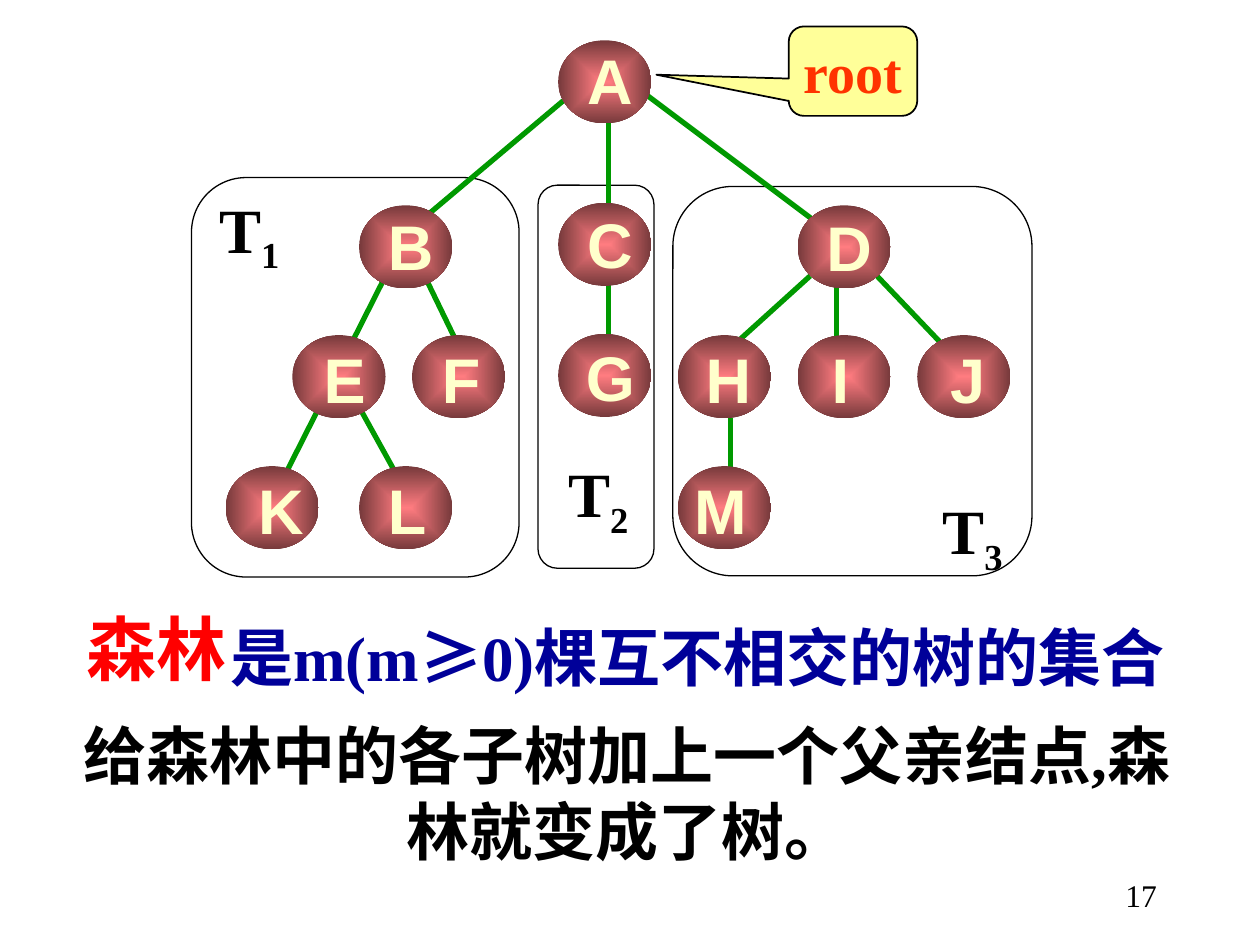
from lxml import etree
from pptx import Presentation
from pptx.dml.color import RGBColor
from pptx.enum import shapes as kinds, text as styles
from pptx.oxml.ns import qn
from pptx.util import Inches, Pt

BLACK = RGBColor(0, 0, 0)
WHITE = RGBColor(255, 255, 255)
RED = RGBColor(0xFF, 0, 0)
ORANGE_RED = RGBColor(0xFF, 0x33, 0)
NAVY = RGBColor(0, 0, 0x99)
GREEN = RGBColor(0, 0x99, 0)
YELLOW = RGBColor(0xFF, 0xFF, 0x99)
CREAM = RGBColor(0xFF, 0xFF, 0xCC)
ROSE = RGBColor(0xFF, 0x7C, 0x80)
MAROON = RGBColor(0x76, 0x39, 0x3B)
SERIF, SANS, HAN = "Times New Roman", "Arial", "Noto Sans CJK SC"
LEFT, CENTER, RIGHT = styles.PP_ALIGN.LEFT, styles.PP_ALIGN.CENTER, styles.PP_ALIGN.RIGHT

deck = Presentation()
deck.slide_width, deck.slide_height = Inches(10), Inches(7.5)
page = deck.slides.add_slide(deck.slide_layouts[6])


def write(frame, words, size, color, font=SERIF, align=LEFT, bold=True):
    """Fill the frame's first paragraph with one run per word and return it."""
    para = frame.paragraphs[0]
    para.alignment = align
    for word in words:
        span = para.add_run()
        span.text = word
        span.font.size, span.font.bold = Pt(size), bold
        span.font.name = HAN if word == "≥" else font
        span.font.color.rgb = color
        etree.SubElement(span.font._element, qn("a:ea"), typeface=HAN)
    return para


def add_text(left, top, width, height, words, size, color, wrap=True, **style):
    box = page.shapes.add_textbox(*map(Inches, (left, top, width, height)))
    box.text_frame.word_wrap = wrap
    return write(box.text_frame, words, size, color, **style)


# Definition of a forest
add_text(0.59, 4.62, 2.36, 0.9, ["森林"], 40, RED).line_spacing = 1.2
definition = ["是m(m", "≥", "0)棵互不相交的树的集合"]
add_text(1.73, 4.74, 7.91, 0.82, definition, 36, NAVY).line_spacing = 1.2
add_text(0.35, 5.64, 9.25, 1.3, ["给森林中的各子树加上一个父亲结点,森林就变成了树。"],
         36, BLACK, align=CENTER)

# Root callout
callout = page.shapes.add_shape(kinds.MSO_SHAPE.ROUNDED_RECTANGULAR_CALLOUT,
                                Inches(6.26), Inches(0.21), Inches(1.02), Inches(0.71))
callout.shadow.inherit = False
for index, value in enumerate((-1.53, 0.04, 0.17)):
    callout.adjustments[index] = value
callout.fill.solid()
callout.fill.fore_color.rgb = YELLOW
callout.line.color.rgb = BLACK
callout.line.width = Pt(1)
callout.text_frame.word_wrap = False
callout.text_frame.vertical_anchor = styles.MSO_ANCHOR.MIDDLE
write(callout.text_frame, ["root"], 32, ORANGE_RED, align=CENTER)

# Subtree panels: number, position and size, then the label's left and top
panels = [
    ("3", (5.34, 1.48, 2.85, 3.09), 7.38, 3.85),
    ("2", (4.27, 1.47, 0.92, 3.04), 4.41, 3.56),
    ("1", (1.52, 1.41, 2.6, 3.17), 1.64, 1.46),
]
for number, area, label_left, label_top in panels:
    panel = page.shapes.add_shape(kinds.MSO_SHAPE.ROUNDED_RECTANGLE, *map(Inches, area))
    panel.shadow.inherit = False
    panel.fill.solid()
    panel.fill.fore_color.rgb = WHITE
    panel.line.color.rgb = BLACK
    panel.line.width = Pt(0.75)
    label = add_text(label_left, label_top, 0.75, 0.7, ["T", number], 36, BLACK, wrap=False)
    label.runs[1].font._element.set("baseline", "-25000")

# Branches lie under the nodes
branches = [
    (5.14, 0.76, 6.54, 1.81), (4.47, 0.8, 3.27, 1.81), (4.83, 0.95, 4.83, 1.62),
    (3.37, 2.19, 3.69, 2.85), (2.85, 3.23, 3.16, 3.79), (3.06, 2.19, 2.11, 4.07),
    (6.96, 2.19, 7.59, 2.85), (6.43, 2.19, 5.8, 2.76), (6.64, 2.28, 6.64, 2.76),
    (5.8, 3.32, 5.8, 3.89), (4.83, 2.18, 4.83, 2.69),
]
for ends in branches:
    branch = page.shapes.add_connector(kinds.MSO_CONNECTOR.STRAIGHT, *map(Inches, ends))
    branch.line.color.rgb = GREEN
    branch.line.width = Pt(3)
    etree.SubElement(branch._element.spPr, qn("a:effectLst"))

# Nodes: letter, left and top of the ellipse, then left, top and width of the letter
nodes = [
    ("A", 4.43, 0.32, 4.56, 0.28, 0.56),
    ("B", 2.85, 1.63, 2.98, 1.6, 0.56),
    ("C", 4.43, 1.61, 4.56, 1.58, 0.56),
    ("D", 6.33, 1.63, 6.46, 1.61, 0.56),
    ("E", 2.32, 2.66, 2.47, 2.65, 0.53),
    ("F", 3.27, 2.66, 3.41, 2.65, 0.5),
    ("G", 4.43, 2.65, 4.55, 2.64, 0.59),
    ("H", 5.38, 2.66, 5.47, 2.65, 0.62),
    ("I", 6.33, 2.66, 6.5, 2.65, 0.34),
    ("J", 7.28, 2.66, 7.44, 2.65, 0.48),
    ("K", 1.79, 3.7, 1.95, 3.69, 0.56),
    ("L", 2.85, 3.7, 2.98, 3.69, 0.5),
    ("M", 5.38, 3.7, 5.41, 3.69, 0.61),
]
for letter, left, top, letter_left, letter_top, letter_width in nodes:
    node = page.shapes.add_shape(kinds.MSO_SHAPE.OVAL, Inches(left), Inches(top),
                                 Inches(0.74), Inches(0.66))
    node.shadow.inherit = False
    node.line.fill.background()
    node.fill.gradient()
    for stop, position, color in zip(node.fill.gradient_stops, (0, 1), (ROSE, MAROON)):
        stop.position = position
        stop.color.rgb = color
    gradient = node._element.spPr.find(qn("a:gradFill"))
    linear = gradient.find(qn("a:lin"))
    radial = etree.Element(qn("a:path"), path="rect")
    etree.SubElement(radial, qn("a:fillToRect"), l="50000", t="50000", r="50000", b="50000")
    gradient.replace(linear, radial)
    add_text(letter_left, letter_top, letter_width, 0.7, [letter], 36, CREAM,
             wrap=False, font=SANS, align=CENTER)

add_text(7.2, 6.9, 2.08, 0.5, ["17"], 18, BLACK, align=RIGHT, bold=False)

deck.save("out.pptx")
